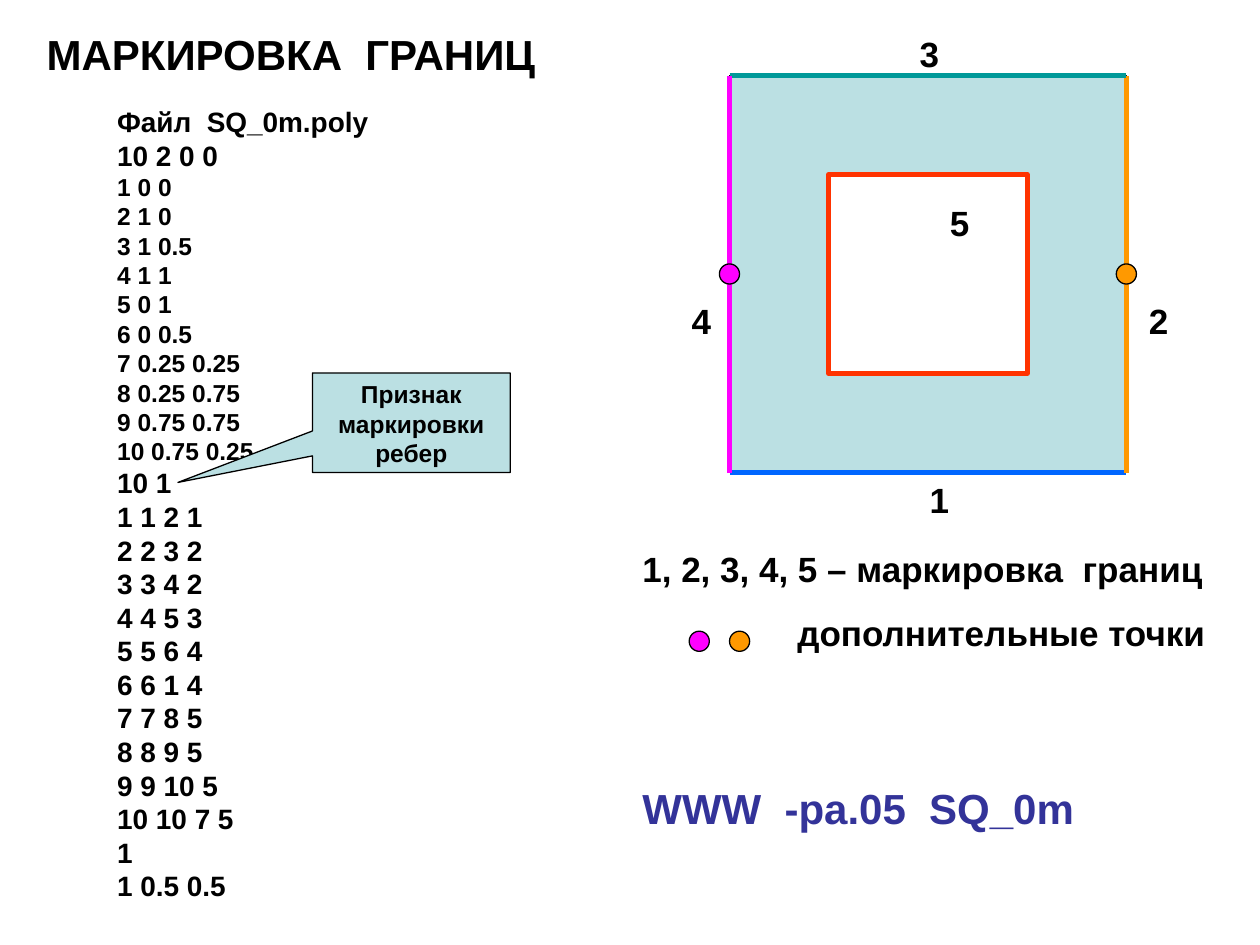
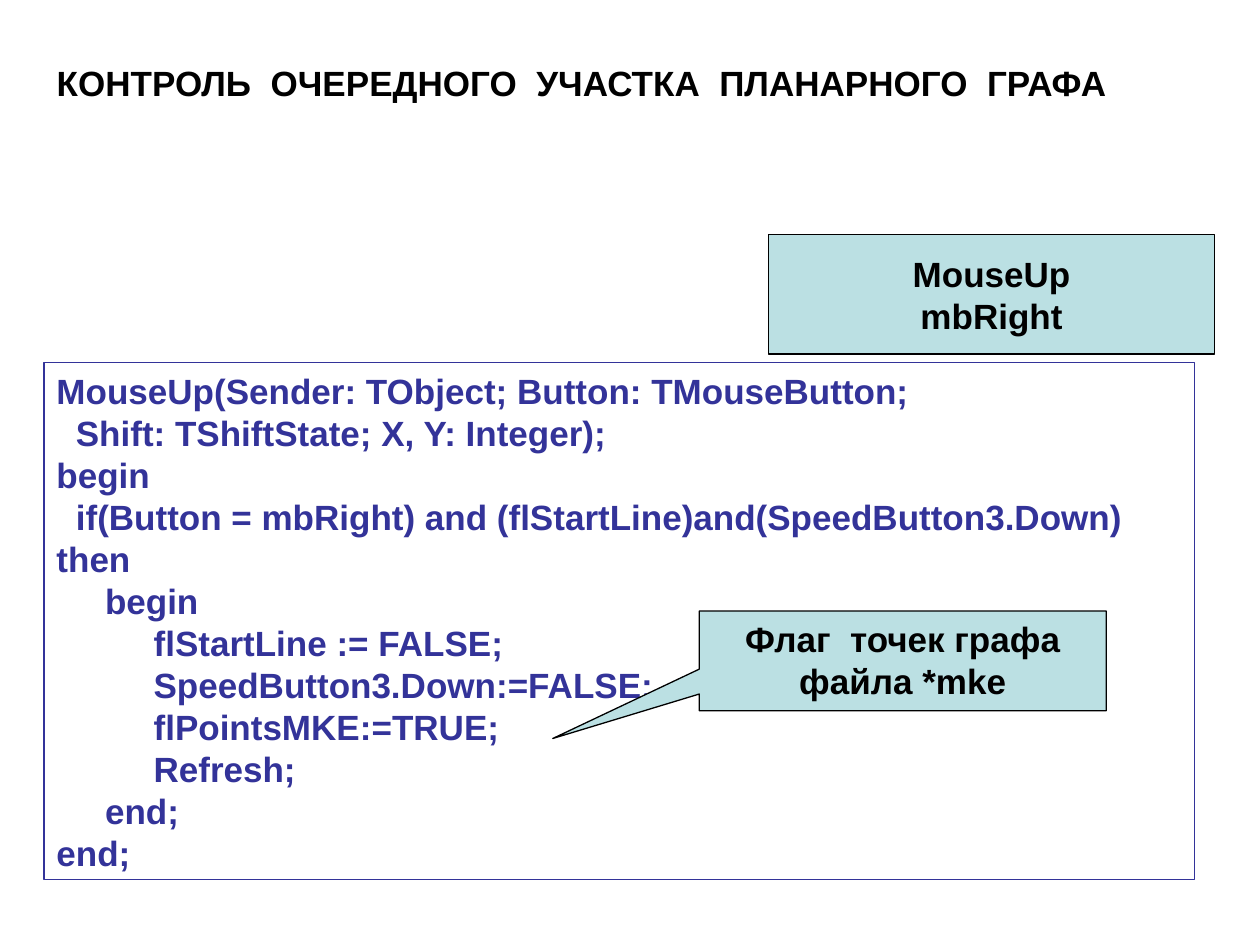
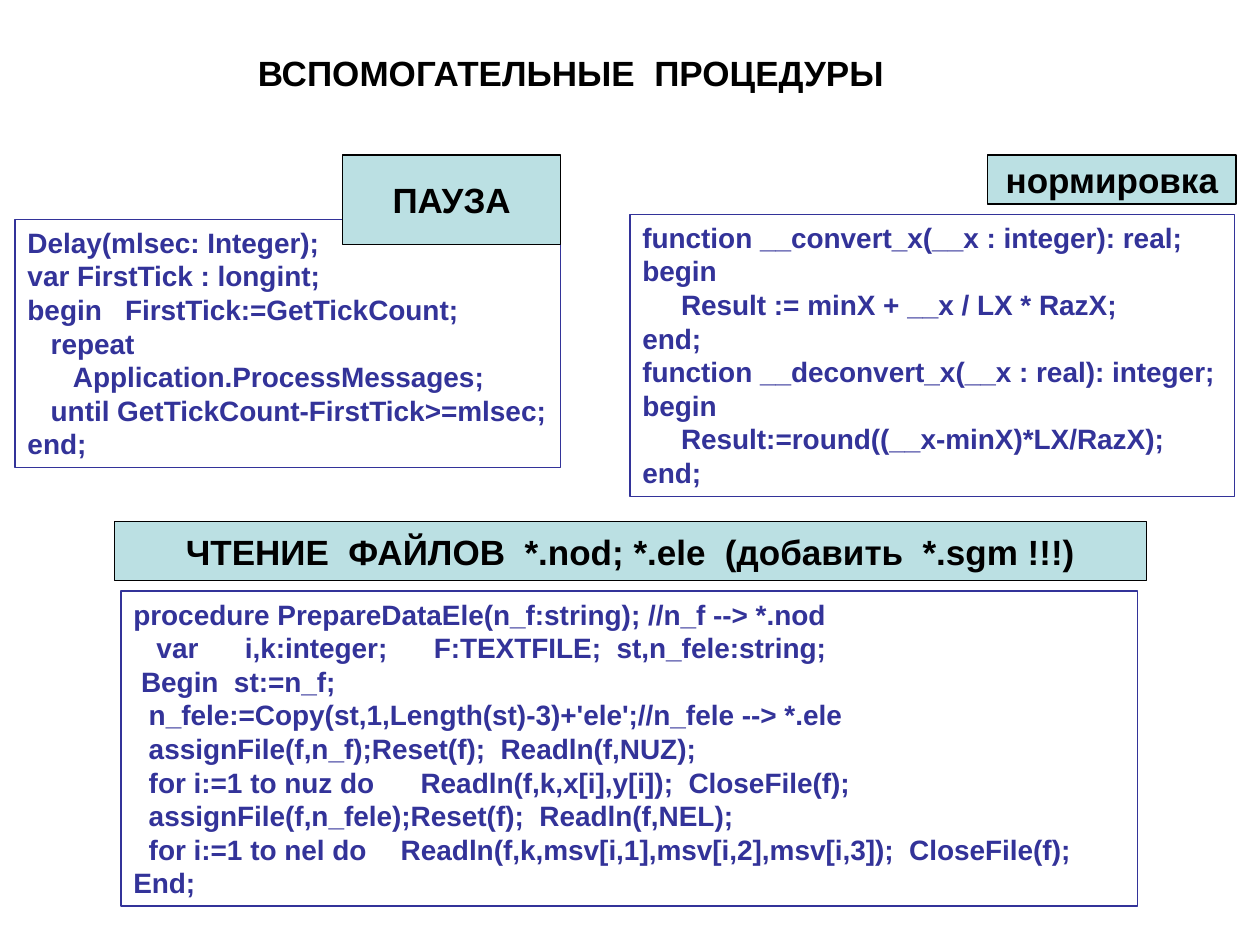
from pptx import Presentation
from pptx.dml.color import RGBColor
from pptx.enum.shapes import MSO_CONNECTOR, MSO_SHAPE
from pptx.enum.text import MSO_ANCHOR, MSO_AUTO_SIZE, PP_ALIGN
from pptx.oxml.ns import qn
from pptx.util import Inches, Pt

LEFT, CENTER = PP_ALIGN.LEFT, PP_ALIGN.CENTER
TOP, MIDDLE = MSO_ANCHOR.TOP, MSO_ANCHOR.MIDDLE
RECTANGLE, OVAL = MSO_SHAPE.RECTANGLE, MSO_SHAPE.OVAL
CALLOUT = MSO_SHAPE.RECTANGULAR_CALLOUT
STRAIGHT = MSO_CONNECTOR.STRAIGHT
NO_AUTOFIT = MSO_AUTO_SIZE.NONE

# Grid of 100 columns by 75 rows; every length below counts cells
COLUMNS, ROWS = 100, 75
WIDTH, HEIGHT = Inches(10), Inches(7.5)

FONT = "Arial"
BLACK, WHITE, INDIGO, PALE = "000000", "FFFFFF", "333399", "BBE0E3"
BLUE, ORANGE, TEAL, MAGENTA, RED = "0066FF", "FF9900", "009999", "FF00FF", "FF3300"
THIN, THICK = 0.75, 3
LAYOUT_BODY, LAYOUT_TITLE = 1, 5

POINTS = """1 0 0
2 1 0
3 1 0.5
4 1 1
5 0 1
6 0 0.5
7 0.25 0.25
8 0.25 0.75
9 0.75 0.75
10 0.75 0.25"""

SEGMENTS = """10 1
1 1 2 1
2 2 3 2
3 3 4 2
4 4 5 3
5 5 6 4
6 6 1 4
7 7 8 5
8 8 9 5
9 9 10 5
10 10 7 5
1
1 0.5 0.5"""

MOUSE_UP = """MouseUp(Sender: TObject; Button: TMouseButton;
  Shift: TShiftState; X, Y: Integer);
begin
  if(Button = mbRight) and (flStartLine)and(SpeedButton3.Down) then
     begin
          flStartLine := FALSE;
          SpeedButton3.Down:=FALSE;
          flPointsMKE:=TRUE;
          Refresh;
     end;
end;"""

DELAY = """Delay(mlsec: Integer);
var FirstTick : longint;
begin   FirstTick:=GetTickCount;
   repeat
      Application.ProcessMessages;
   until GetTickCount-FirstTick>=mlsec;
end;"""

CONVERT = """function __convert_x(__x : integer): real;
begin
     Result := minX + __x / LX * RazX;
end;
function __deconvert_x(__x : real): integer;
begin
     Result:=round((__x-minX)*LX/RazX);
end;"""

PREPARE = """procedure PrepareDataEle(n_f:string); //n_f --> *.nod
   var      i,k:integer;      F:TEXTFILE;  st,n_fele:string;
 Begin  st:=n_f;
  n_fele:=Copy(st,1,Length(st)-3)+'ele';//n_fele --> *.ele
  assignFile(f,n_f);Reset(f);  Readln(f,NUZ);
  for i:=1 to nuz do      Readln(f,k,x[i],y[i]);  CloseFile(f);
  assignFile(f,n_fele);Reset(f);  Readln(f,NEL);
  for i:=1 to nel do \t  Readln(f,k,msv[i,1],msv[i,2],msv[i,3]);  CloseFile(f);
End;"""


def color(value):
    return RGBColor.from_string(value)


def across(columns):
    return round(WIDTH * columns / COLUMNS)


def down(rows):
    return round(HEIGHT * rows / ROWS)


def cells(left, top, width, height):
    return across(left), down(top), across(width), down(height)


class Deck:
    """Holds the shared style and the slide being filled."""

    def __init__(self):
        self.presentation = Presentation()
        self.presentation.slide_width = WIDTH
        self.presentation.slide_height = HEIGHT
        self.slide = None

    def add_slide(self, layout, title, box, size=20, align=LEFT):
        layouts = self.presentation.slide_layouts
        self.slide = self.presentation.slides.add_slide(layouts[layout])
        self.fill_placeholder(self.slide.shapes.title, box, [(size, title)], align)

    def body(self, box, groups):
        self.fill_placeholder(self.slide.placeholders[1], box, groups, LEFT)

    def fill_placeholder(self, shape, box, groups, align):
        shape.left, shape.top, shape.width, shape.height = cells(*box)
        self.set_text(shape, groups, align=align)

    def set_text(self, shape, groups, ink=BLACK, align=LEFT, anchor=TOP, wrap=True):
        """Set groups of (size, lines) as plain bold paragraphs."""
        frame = shape.text_frame
        frame.auto_size = NO_AUTOFIT
        frame.word_wrap = wrap
        frame.vertical_anchor = anchor
        frame.margin_left = frame.margin_right = Inches(0.1)
        frame.margin_top = frame.margin_bottom = Inches(0.05)
        lines = [(size, line) for size, text in groups for line in text.split("\n")]
        for index, (size, line) in enumerate(lines):
            paragraph = frame.add_paragraph() if index else frame.paragraphs[0]
            properties = paragraph._p.get_or_add_pPr()
            properties.set("marL", "0")
            properties.set("indent", "0")
            properties.append(properties.makeelement(qn("a:buNone"), {}))
            paragraph.alignment = align
            paragraph.space_before = Pt(0)
            run = paragraph.add_run()
            run.text = line
            run.font.name = FONT
            run.font.size = Pt(size)
            run.font.bold = True
            run.font.color.rgb = color(ink)
        return frame

    def text(self, box, text, size=20, ink=BLACK):
        shape = self.slide.shapes.add_textbox(*cells(*box))
        return self.set_text(shape, [(size, text)], ink)

    def shape(self, kind, box, fill=PALE, line=BLACK, weight=THIN):
        shape = self.slide.shapes.add_shape(kind, *cells(*box))
        shape.shadow.inherit = False
        if fill:
            shape.fill.solid()
            shape.fill.fore_color.rgb = color(fill)
        else:
            shape.fill.background()
        shape.line.color.rgb = color(line)
        shape.line.width = Pt(weight)
        return shape

    def code(self, box, text, size=16):
        self.set_text(self.shape(RECTANGLE, box, None, INDIGO), [(size, text)], INDIGO)

    def label(self, box, text):
        self.set_text(self.shape(RECTANGLE, box), [(20, text)],
                      align=CENTER, anchor=MIDDLE, wrap=False)

    def callout(self, box, text, size, tip):
        shape = self.shape(CALLOUT, box)
        shape.adjustments[0], shape.adjustments[1] = tip
        self.set_text(shape, [(size, text)], align=CENTER)

    def dot(self, center_x, center_y, fill, diameter=1.6):
        radius = diameter / 2
        self.shape(OVAL, (center_x - radius, center_y - radius, diameter, diameter), fill)

    def edge(self, start, end, ink):
        connector = self.slide.shapes.add_connector(
            STRAIGHT, across(start[0]), down(start[1]), across(end[0]), down(end[1]))
        connector.line.color.rgb = color(ink)
        connector.line.width = Pt(THICK)
        properties = connector._element.spPr
        properties.append(properties.makeelement(qn("a:effectLst"), {}))


def boundary_slide(deck):
    deck.add_slide(LAYOUT_BODY, "МАРКИРОВКА  ГРАНИЦ", (2.7, 1.8, 50.4, 5), 24)
    deck.body((8.3, 7.8, 31.9, 64.4), [
        (16, "Файл  SQ_0m.poly\n10 2 0 0"), (14, POINTS), (16, SEGMENTS)])

    # Square domain with a square hole, a quarter of the side from each edge
    left, top, side = 57.9, 6, 31.5
    right, bottom, middle = left + side, top + side, top + side / 2
    deck.shape(RECTANGLE, (left, top, side, side))
    deck.shape(RECTANGLE, (left + side / 4, top + side / 4, side / 2, side / 2),
               WHITE, RED, THICK)
    deck.edge((left, bottom), (right, bottom), BLUE)
    deck.edge((right, top), (right, bottom), ORANGE)
    deck.edge((left, top), (right, top), TEAL)
    deck.edge((left, top), (left, bottom), MAGENTA)

    # Boundary numbers
    spots = [(72.8, 37.5), (90.2, 23.3), (72, 2.1), (53.9, 23.3), (74.4, 15.5)]
    for number, (number_left, number_top) in enumerate(spots, 1):
        deck.text((number_left, number_top, 3.9, 4.4), str(number))
    deck.dot(right, middle, ORANGE)
    deck.dot(left, middle, MAGENTA)

    # Legend
    legend = deck.text((50, 43, 47.3, 9.4),
                       "1, 2, 3, 4, 5 – маркировка  границ\nдополнительные точки")
    points_line = legend.paragraphs[1]
    points_line.space_before = Pt(12.5)
    points_line._p.get_or_add_pPr().set("marL", str(across(12.3)))
    deck.dot(58.7, 50.9, ORANGE)
    deck.dot(55.5, 50.9, MAGENTA)

    deck.text((50, 61.6, 46.5, 5), "WWW  -pa.05  SQ_0m", 24, INDIGO)
    deck.callout((24.8, 29.6, 15.7, 7.9), "Признак маркировки ребер", 14, (-1.18, 0.6))


def graph_slide(deck):
    deck.add_slide(LAYOUT_TITLE, "КОНТРОЛЬ  ОЧЕРЕДНОГО  УЧАСТКА  ПЛАНАРНОГО  ГРАФА",
                   (3.5, 4.4, 93.7, 4.4))
    deck.code((3.5, 28.8, 91.3, 41), MOUSE_UP, 20)
    deck.label((61, 18.6, 35.4, 9.5), "MouseUp\nmbRight")
    deck.callout((55.5, 48.5, 32.3, 7.9), "Флаг  точек графа файла *mke", 20, (-0.86, 0.78))


def procedures_slide(deck):
    deck.add_slide(LAYOUT_TITLE, "ВСПОМОГАТЕЛЬНЫЕ  ПРОЦЕДУРЫ",
                   (6.7, 3.6, 77.2, 4.4), align=CENTER)
    deck.code((1.2, 17.4, 43.3, 19.7), DELAY)
    deck.label((27.2, 12.3, 17.3, 7.1), "ПАУЗА")
    deck.code((50, 17, 48, 22.4), CONVERT)
    deck.label((78.4, 12.3, 19.7, 3.9), "нормировка")
    deck.code((9.6, 46.9, 80.7, 25), PREPARE)
    deck.label((9.1, 41.4, 81.9, 4.7), "ЧТЕНИЕ  ФАЙЛОВ  *.nod; *.ele  (добавить  *.sgm !!!)")


def main():
    deck = Deck()
    boundary_slide(deck)
    graph_slide(deck)
    procedures_slide(deck)
    deck.presentation.save("out.pptx")


if __name__ == "__main__":
    main()
